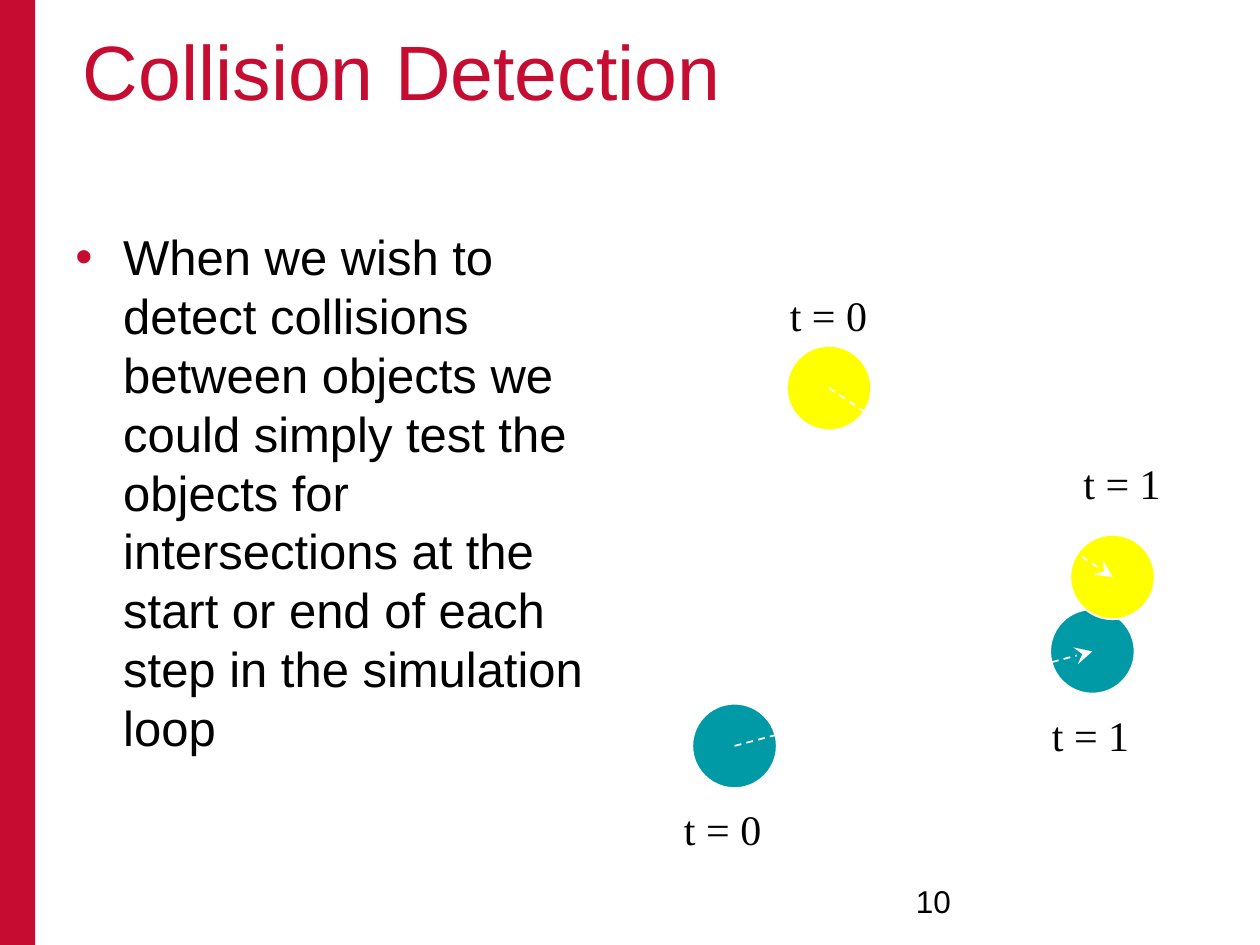
from dataclasses import dataclass

from lxml.etree import SubElement
from pptx import Presentation
from pptx.dml.color import RGBColor
from pptx.enum.dml import MSO_LINE
from pptx.enum.shapes import MSO_CONNECTOR, MSO_SHAPE
from pptx.enum.text import MSO_AUTO_SIZE
from pptx.oxml.ns import qn
from pptx.util import Inches, Pt


@dataclass(frozen=True)
class Theme:
    crimson: RGBColor = RGBColor(0xC6, 0x0C, 0x30)
    black: RGBColor = RGBColor(0, 0, 0)
    white: RGBColor = RGBColor(0xFF, 0xFF, 0xFF)
    yellow: RGBColor = RGBColor(0xFF, 0xFF, 0)
    teal: RGBColor = RGBColor(0, 0x9A, 0xA6)
    sans: str = "Arial"
    serif: str = "Times New Roman"
    title_size: int = 44
    body_size: int = 28
    label_size: int = 24
    number_size: int = 18


THEME = Theme()
BALL_SIZE = 0.67


@dataclass(frozen=True)
class Ball:
    """A moving ball: centres and label corners, relative to the diagram."""
    color: RGBColor
    start: tuple
    end: tuple
    start_label: tuple
    end_label: tuple


BALLS = (
    Ball(THEME.teal, (0.5, 3.67), (3.34, 2.92), (0, 4.08), (2.92, 3.33)),
    Ball(THEME.yellow, (1.25, 0.83), (3.5, 2.33), (0.84, 0), (3.17, 1.33)),
)


def style_text(paragraph, size, name=THEME.sans, color=THEME.black):
    for key, value in {"size": Pt(size), "name": name}.items():
        setattr(paragraph.font, key, value)
    paragraph.font.color.rgb = color


def add_text(slide, box, text, size, wrap=True, **style):
    """Add a one-paragraph text box; without wrap it grows to fit its line."""
    frame = slide.shapes.add_textbox(*map(Inches, box)).text_frame
    frame.word_wrap = wrap
    frame.auto_size = MSO_AUTO_SIZE.NONE if wrap else MSO_AUTO_SIZE.SHAPE_TO_FIT_TEXT
    paragraph = frame.paragraphs[0]
    paragraph.text = text
    style_text(paragraph, size, **style)
    return paragraph


def add_solid(slide, preset, box, color):
    shape = slide.shapes.add_shape(preset, *map(Inches, box))
    shape.shadow.inherit = False
    shape.fill.solid()
    shape.fill.fore_color.rgb = color
    shape.line.fill.background()
    return shape


def add_side_bar(slide, box):
    add_solid(slide, MSO_SHAPE.RECTANGLE, box, THEME.crimson)


def add_title(slide, box):
    add_text(slide, box, "Collision Detection", THEME.title_size, color=THEME.crimson)


def add_body(slide, box):
    point = add_text(
        slide, box,
        "When we wish to detect collisions between objects we could simply "
        "test the objects for intersections at the start or end of each step "
        "in the simulation loop",
        THEME.body_size)
    properties = point._p.get_or_add_pPr()
    properties.set("marL", str(Inches(0.38)))
    properties.set("indent", str(-Inches(0.38)))
    bullet_color = SubElement(properties, qn("a:buClr"))
    SubElement(bullet_color, qn("a:srgbClr"), val=str(THEME.crimson))
    SubElement(properties, qn("a:buFont"), typeface=THEME.sans)
    SubElement(properties, qn("a:buChar"), char="•")
    # The run defaults must come after the bullet elements.
    properties.append(properties.find(qn("a:defRPr")))


def add_page_number(slide, box):
    add_text(slide, box, "10", THEME.number_size)


def add_ball(slide, center, color):
    x, y = center
    corner = (x - BALL_SIZE / 2, y - BALL_SIZE / 2)
    ball = add_solid(slide, MSO_SHAPE.OVAL, (*corner, BALL_SIZE, BALL_SIZE), color)
    ball.line.color.rgb = THEME.white
    ball.line.width = Pt(1)


def add_motion_arrow(slide, start, end):
    arrow = slide.shapes.add_connector(MSO_CONNECTOR.STRAIGHT, *map(Inches, start + end))
    arrow.line.color.rgb = THEME.white
    arrow.line.width = Pt(1)
    arrow.line.dash_style = MSO_LINE.DASH
    SubElement(arrow.line._get_or_add_ln(), qn("a:tailEnd"),
               type="stealth", w="lg", len="lg")
    SubElement(arrow._element.spPr, qn("a:effectLst"))


def add_motion_diagram(slide, box):
    """Two balls at the start and end of one step; arrows lie over all balls."""
    left, top = box[:2]

    def place(point):
        return left + point[0], top + point[1]

    for ball in BALLS:
        for center in (ball.start, ball.end):
            add_ball(slide, place(center), ball.color)
    for ball in BALLS:
        add_motion_arrow(slide, place(ball.start), place(ball.end))
        for text, corner in (("t = 0", ball.start_label), ("t = 1", ball.end_label)):
            add_text(slide, (*place(corner), 0.82, 0.5), text,
                     THEME.label_size, wrap=False, name=THEME.serif)


def main():
    presentation = Presentation()
    presentation.slide_width = Inches(10)
    presentation.slide_height = Inches(7.5)
    slide = presentation.slides.add_slide(presentation.slide_layouts[6])
    add_side_bar(slide, (0, 0, 0.28, 7.5))
    add_title(slide, (0.56, 0.14, 8.94, 1.61))
    add_body(slide, (0.5, 1.75, 4.5, 4.95))
    add_page_number(slide, (7.17, 6.95, 2.33, 0.4))
    add_motion_diagram(slide, (5.33, 2.25, 3.98, 4.58))
    presentation.save("out.pptx")


if __name__ == "__main__":
    main()
